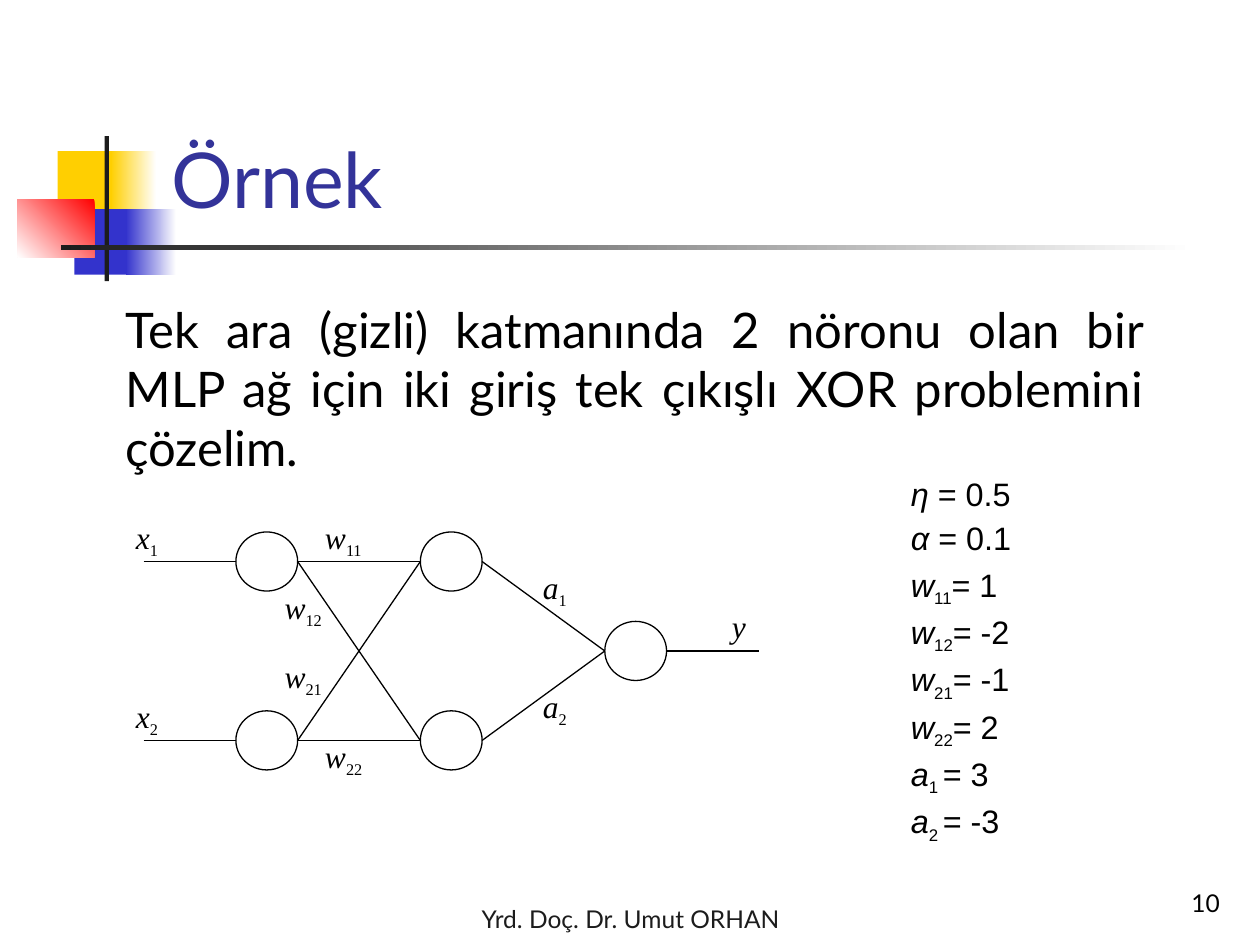
import pptx
import pptx.util
import pptx.dml.color
import pptx.enum.shapes
import pptx.enum.text
import pptx.oxml.ns
import lxml.etree

Pt = pptx.util.Pt
Align = pptx.enum.text.PP_ALIGN
Anchor = pptx.enum.text.MSO_ANCHOR
Preset = pptx.enum.shapes.MSO_SHAPE

THEME = {
    "title": "333399", "text": "000000", "dark": "1C1C1C", "white": "FFFFFF",
    "yellow": "FFCF01", "blue": "3333CC", "red": "FF0000",
    "sans": "Lato", "math": "Times New Roman", "list": "Arial",
    "title_size": 44, "body_size": 28, "small_size": 14,
    "label_size": 18, "label_sub": 16, "list_size": 18.5, "list_sub": 16.6,
    "line": 0.75,
}

TITLE = "Örnek"
BODY = ("Tek ara (gizli) katmanında 2 nöronu olan bir MLP ağ için "
        "iki giriş tek çıkışlı XOR problemini çözelim.")
FOOTER = "Yrd. Doç. Dr. Umut ORHAN"
PAGE_NUMBER = "10"

# symbol, subscript, rest of the line
PARAMETERS = [
    ("η ", "", "= 0.5"), ("α ", "", "= 0.1"),
    ("w", "11", "= 1"), ("w", "12", "= -2"), ("w", "21", "= -1"), ("w", "22", "= 2"),
    ("a", "1 ", "= 3"), ("a", "2 ", "= -3"),
]

# left, top, width, height, colours from start to end, gradient angle
ORNAMENT = [
    (33, 86.4, 34.7, 37.4, ["yellow"], 0),
    (63.4, 86.4, 25.9, 37.4, ["white", "yellow"], 180),
    (42.5, 119.5, 33.1, 37.4, ["blue"], 0),
    (72, 119.5, 28.8, 37.4, ["white", "blue"], 180),
    (10, 113.8, 44, 33.2, ["red", "white"], 225),
    (59.8, 77.8, 2.4, 82.8, ["dark"], 0),
    (34.7, 140.2, 648, 2.4, ["white", "dark"], 180),
]

# name: column, row (in half steps between the two inputs)
NEURONS = {"input 1": (0, 0), "input 2": (0, 2),
           "hidden 1": (1, 0), "hidden 2": (1, 2), "output": (2, 1)}
LINKS = [(source, target) for sources, targets in
         ((("input 1", "input 2"), ("hidden 1", "hidden 2")),
          (("hidden 1", "hidden 2"), ("output",)))
         for source in sources for target in targets]
LEADS_IN = ["input 1", "input 2"]
LEADS_OUT = ["output"]
LEAD_LENGTH = 52.7
NEURON_WIDTH, NEURON_HEIGHT = 35.3, 33.8
NETWORK_LEFT, NETWORK_TOP = 134.8, 304
COLUMN_STEP, ROW_STEP = 105.4, 51.1

# symbol, subscript, left, top
LABELS = [
    ("w", "11", 178.6, 292.3), ("w", "22", 178.6, 417.6),
    ("w", "21", 155.5, 372.2), ("w", "12", 155.5, 332.6),
    ("x", "1", 70.6, 292.3), ("x", "2", 70.6, 394.6),
    ("y", "", 411.1, 343.4),
    ("a", "1", 303.1, 321.1), ("a", "2", 303.1, 388.8),
]
LABEL_WIDTH, LABEL_HEIGHT = 39.6, 33.8


def colour(name):
    return pptx.dml.color.RGBColor.from_string(THEME[name])


def write(shape, lines, font, size, sub_size=0, color="text", align=Align.LEFT,
          anchor=Anchor.TOP, line_spacing=None, space_before=0):
    """Each line is a plain string or a (symbol, subscript, rest) tuple."""
    frame = shape.text_frame
    frame.word_wrap = True
    frame.auto_size = pptx.enum.text.MSO_AUTO_SIZE.NONE
    frame.vertical_anchor = anchor
    for index, line in enumerate(lines):
        paragraph = frame.add_paragraph() if index else frame.paragraphs[0]
        paragraph.alignment = align
        paragraph.line_spacing = line_spacing
        paragraph.space_before = Pt(space_before if index else 0)
        symbol, subscript, rest = ("", "", line) if isinstance(line, str) else line
        for text, run_size, italic, baseline in (
                (symbol, size, True, 0), (subscript, sub_size, False, -25000),
                (rest, size, False, 0)):
            if not text:
                continue
            run = paragraph.add_run()
            run.text = text
            run.font.name, run.font.size, run.font.italic = font, Pt(run_size), italic
            run.font.color.rgb = colour(color)
            if baseline:
                run._r.get_or_add_rPr().set("baseline", str(baseline))


def add_text(shapes, box, lines, **text_format):
    shape = shapes.add_textbox(*map(Pt, box))
    write(shape, lines, **text_format)
    return shape


def add_ornament(shapes):
    for left, top, width, height, colours, angle in ORNAMENT:
        shape = shapes.add_shape(Preset.RECTANGLE, Pt(left), Pt(top), Pt(width), Pt(height))
        shape.shadow.inherit = False
        shape.line.fill.background()
        if len(colours) == 1:
            shape.fill.solid()
            shape.fill.fore_color.rgb = colour(colours[0])
        else:
            shape.fill.gradient()
            shape.fill.gradient_angle = angle
            for stop, name, position in zip(shape.fill.gradient_stops, colours, (0, 1)):
                stop.color.rgb = colour(name)
                stop.position = position


def add_line(shapes, start, end):
    line = shapes.add_connector(pptx.enum.shapes.MSO_CONNECTOR.STRAIGHT,
                                *map(Pt, start + end))
    line.line.color.rgb = colour("text")
    line.line.width = Pt(THEME["line"])
    lxml.etree.SubElement(line._element.spPr, pptx.oxml.ns.qn("a:effectLst"))


def add_network(shapes):
    entry, leaving = {}, {}
    for name, (column, row) in NEURONS.items():
        left = NETWORK_LEFT + column * COLUMN_STEP
        top = NETWORK_TOP + row * ROW_STEP
        neuron = shapes.add_shape(Preset.OVAL, Pt(left), Pt(top),
                                  Pt(NEURON_WIDTH), Pt(NEURON_HEIGHT))
        neuron.shadow.inherit = False
        neuron.fill.background()
        neuron.line.color.rgb = colour("text")
        neuron.line.width = Pt(THEME["line"])
        middle = top + NEURON_HEIGHT / 2
        entry[name], leaving[name] = (left, middle), (left + NEURON_WIDTH, middle)

    for source, target in LINKS:
        add_line(shapes, leaving[source], entry[target])
    for name in LEADS_IN:
        x, y = entry[name]
        add_line(shapes, (x - LEAD_LENGTH, y), (x, y))
    for name in LEADS_OUT:
        x, y = leaving[name]
        add_line(shapes, (x, y), (x + LEAD_LENGTH, y))

    for symbol, subscript, left, top in LABELS:
        label = add_text(shapes, (left, top, LABEL_WIDTH, LABEL_HEIGHT),
                         [(symbol, subscript, "")], font=THEME["math"],
                         size=THEME["label_size"], sub_size=THEME["label_sub"])
        label.text_frame.margin_right = 0


def main():
    presentation = pptx.Presentation()
    presentation.slide_width, presentation.slide_height = Pt(720), Pt(540)
    slide = presentation.slides.add_slide(presentation.slide_layouts[5])
    shapes = slide.shapes
    sans = THEME["sans"]

    add_ornament(shapes)
    add_text(shapes, (14.4, 512.6, 692, 24.5), [FOOTER], font=sans,
             size=THEME["small_size"], color="dark", align=Align.CENTER,
             anchor=Anchor.BOTTOM)

    title = shapes.title
    title.left, title.top, title.width, title.height = map(Pt, (90.7, 16.6, 613.4, 115.2))
    write(title, [TITLE], font=sans, size=THEME["title_size"], color="title",
          anchor=Anchor.BOTTOM)
    title._element.getparent().append(title._element)  # in front of the ornament

    add_text(shapes, (64.8, 167.8, 595.4, 113), [BODY], font=sans,
             size=THEME["body_size"], align=Align.JUSTIFY)
    add_network(shapes.add_group_shape().shapes)
    add_text(shapes, (513.4, 270, 105.1, 232.6), PARAMETERS, font=THEME["list"],
             size=THEME["list_size"], sub_size=THEME["list_sub"],
             align=Align.JUSTIFY, line_spacing=0.9, space_before=5)
    add_text(shapes, (554.4, 491.8, 149.8, 36), [PAGE_NUMBER], font=sans,
             size=THEME["small_size"], align=Align.RIGHT, anchor=Anchor.BOTTOM)

    presentation.save("out.pptx")


if __name__ == "__main__":
    main()
